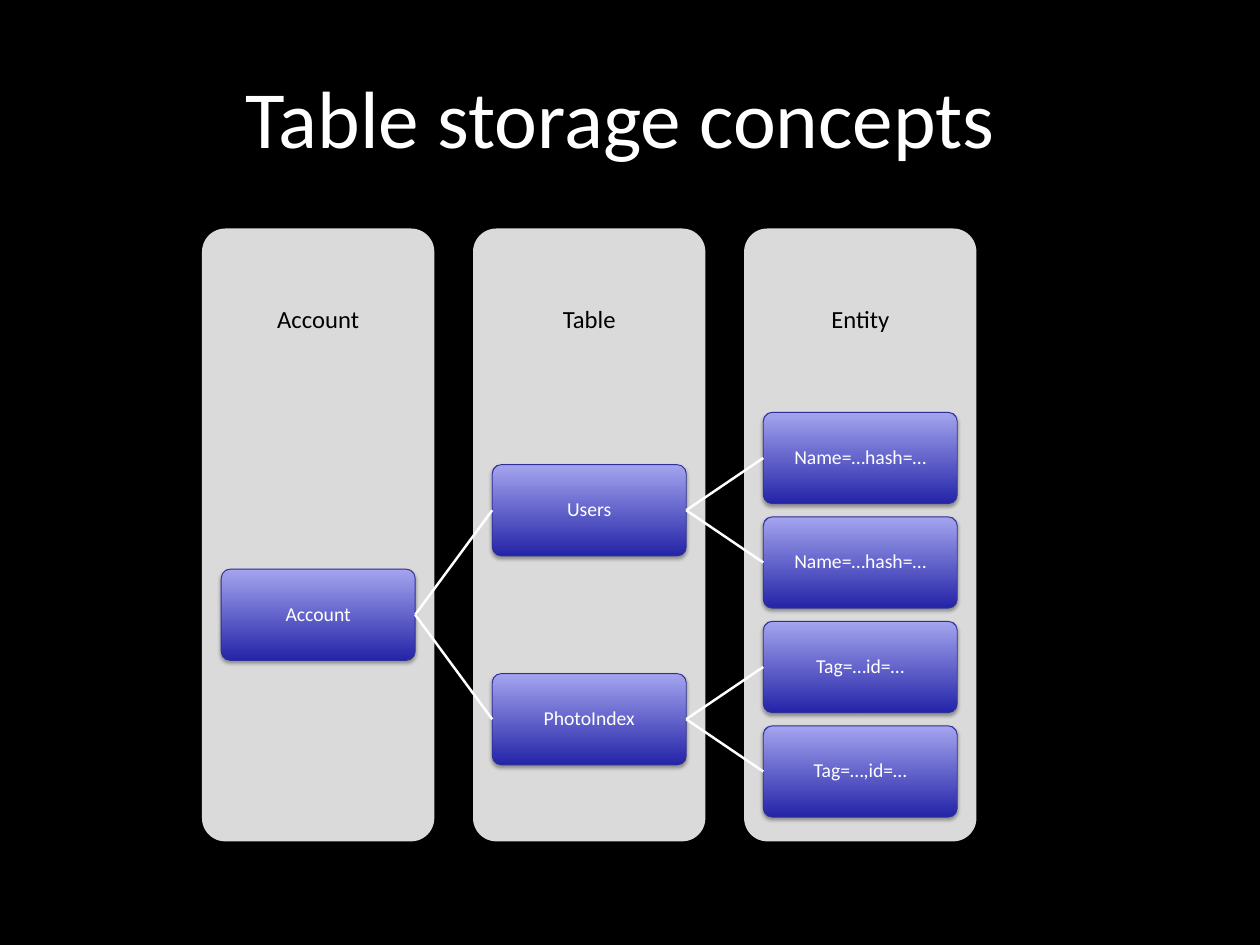
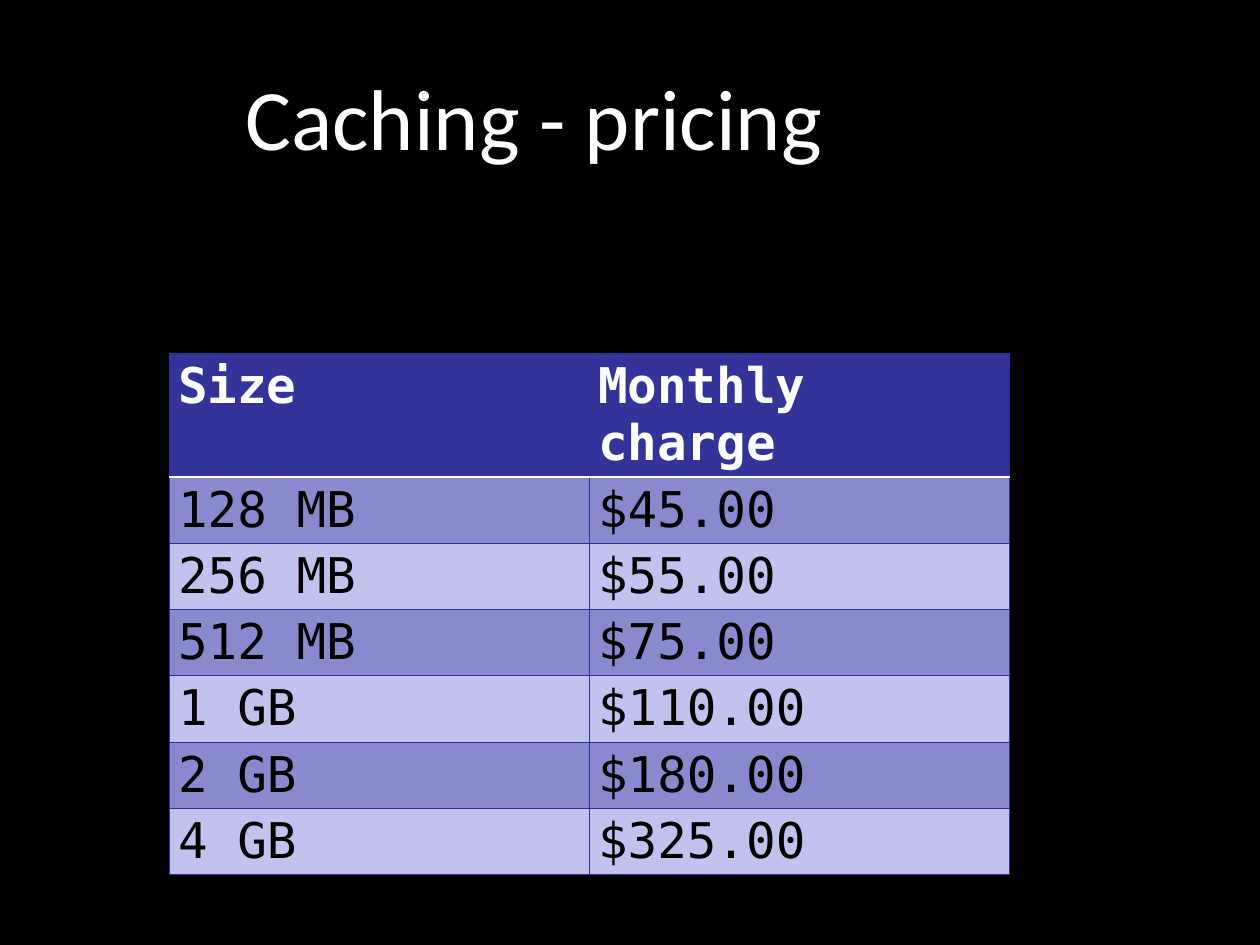
from collections import namedtuple
from lxml import etree
from pptx import Presentation
from pptx import util as u
from pptx.dml.color import RGBColor
from pptx.enum import shapes, text
from pptx.oxml import ns

Box = namedtuple("Box", "left top width height")

SLIDE = Box(0, 0, 14.22, 10.67)
TITLE = Box(2.71, 0.17, 10.33, 2.29)
DIAGRAM = Box(2.28, 2.58, 8.74, 6.92)
PRICES = Box(1.91, 3.99, 9.48, 5.83)

SANS, MONO = "Calibri", "DejaVu Sans Mono"
BLACK, WHITE, PANEL = "000000", "FFFFFF", "DADADA"
NODE_DARK, NODE_LIGHT, EDGE = "2424A8", "A4A4EF", "2F2F98"
HEADER, BANDS = "333399", ("8989CD", "C2C2EF")

COLUMN_NAMES = ("Account", "Table", "Entity")
TREE = ("Account", [
    ("Users", [("Name=…hash=…", []), ("Name=…hash=…", [])]),
    ("PhotoIndex", [("Tag=…id=…", []), ("Tag=…,id=…", [])]),
])
PRICE_ROWS = (
    ("Size", "Monthly charge"),
    ("128 MB", "$45.00"),
    ("256 MB", "$55.00"),
    ("512 MB", "$75.00"),
    ("1 GB", "$110.00"),
    ("2 GB", "$180.00"),
    ("4 GB", "$325.00"),
)


def color(value):
    return RGBColor.from_string(value)


def inches(box):
    return [u.Inches(length) for length in box]


def paint(fill, value):
    fill.solid()
    fill.fore_color.rgb = color(value)


def write(frame, words, size, value, font=SANS, align=text.PP_ALIGN.CENTER,
          inset=0.01, spacing=0.9, bold=False):
    frame.word_wrap = True
    frame.auto_size = text.MSO_AUTO_SIZE.NONE
    frame.vertical_anchor = text.MSO_ANCHOR.MIDDLE
    for side in ("left", "right", "top", "bottom"):
        setattr(frame, f"margin_{side}", u.Inches(inset))
    frame.text = words
    format_text(frame.paragraphs[0], size, value, font, align, spacing, bold)


def format_text(para, size, value, font, align, spacing=1.0, bold=False):
    para.alignment = align
    para.line_spacing = spacing
    for span in para.runs:
        span.font.name = font
        span.font.size = u.Pt(size)
        span.font.bold = bold
        span.font.color.rgb = color(value)


def add_titled_page(deck, words, size):
    page = deck.slides.add_slide(deck.slide_layouts[5])
    title = page.shapes.title
    title.left, title.top, title.width, title.height = inches(TITLE)
    write(title.text_frame, words, size, WHITE, align=text.PP_ALIGN.LEFT,
          inset=0.06, spacing=1.0)
    return page


def add_rounded(page, box):
    shape = page.shapes.add_shape(shapes.MSO_SHAPE.ROUNDED_RECTANGLE, *inches(box))
    shape.adjustments[0] = 0.1
    shape.shadow.inherit = False
    return shape


def add_column(page, box, name):
    panel = add_rounded(page, box)
    paint(panel.fill, PANEL)
    panel.line.fill.background()
    heading = page.shapes.add_textbox(*inches(box._replace(height=box.height * 0.3)))
    write(heading.text_frame, name, 20, BLACK, inset=0.16)


def add_soft_shadow(shape):
    effects = shape._element.spPr.find(ns.qn("a:effectLst"))
    shadow = etree.SubElement(effects, ns.qn("a:outerShdw"), blurRad=str(u.Pt(3.1)),
                              dist=str(u.Pt(1.8)), dir="5400000", rotWithShape="0")
    tint = etree.SubElement(shadow, ns.qn("a:srgbClr"), val=BLACK)
    etree.SubElement(tint, ns.qn("a:alpha"), val="35000")


def add_node(page, box, name):
    node = add_rounded(page, box)
    node.fill.gradient()
    node.fill.gradient_angle = 90
    for stop, value in zip(node.fill.gradient_stops, (NODE_DARK, NODE_LIGHT)):
        stop.color.rgb = color(value)
    node.line.color.rgb = color(EDGE)
    node.line.width = u.Pt(0.75)
    add_soft_shadow(node)
    write(node.text_frame, name, 16, WHITE)
    return node


def add_link(page, parent, child):
    link = page.shapes.add_connector(shapes.MSO_CONNECTOR.STRAIGHT, 0, 0, 0, 0)
    link.begin_connect(parent, 3)
    link.end_connect(child, 1)
    link.line.color.rgb = color(WHITE)
    link.line.width = u.Pt(2)
    etree.SubElement(link._element.spPr, ns.qn("a:effectLst"))


def add_hierarchy(page, box):
    column_width = box.width * 0.3
    pitch = (box.width - column_width) / (len(COLUMN_NAMES) - 1)
    node_width, node_height = column_width * 0.835, box.height * 0.149
    first_top, row_pitch = box.top + box.height * 0.3, box.height * 0.1705
    for index, name in enumerate(COLUMN_NAMES):
        add_column(page, Box(box.left + index * pitch, box.top, column_width, box.height), name)

    def place(branch, depth, next_row):
        name, children = branch
        placed = []
        for child in children:
            placed.append(place(child, depth + 1, next_row))
            next_row = placed[-1][2]
        row = sum(item[1] for item in placed) / len(placed) if placed else next_row
        left = box.left + depth * pitch + (column_width - node_width) / 2
        node = add_node(page, Box(left, first_top + row * row_pitch, node_width, node_height), name)
        for child_node, _, _ in placed:
            add_link(page, node, child_node)
        return node, row, next_row if children else next_row + 1

    place(TREE, 0, 0)


def add_borders(cell, **edges):
    properties = cell._tc.get_or_add_tcPr()
    for index, side in enumerate("LRTB"):
        value, width = edges.get(side, (EDGE, 0.75))
        line = etree.Element(ns.qn(f"a:ln{side}"), w=str(u.Pt(width)))
        fill = etree.SubElement(line, ns.qn("a:solidFill"))
        etree.SubElement(fill, ns.qn("a:srgbClr"), val=value)
        properties.insert(index, line)


def add_price_table(page, box):
    count, width = len(PRICE_ROWS), len(PRICE_ROWS[0])
    table = page.shapes.add_table(count, width, *inches(box)).table
    table.horz_banding = False
    header_height = box.height * 0.24
    row_height = (box.height - header_height) / (count - 1)
    rule = (WHITE, 2)
    for index, values in enumerate(PRICE_ROWS):
        is_header = index == 0
        table.rows[index].height = u.Inches(header_height if is_header else row_height)
        edges = {0: {"B": rule}, 1: {"T": rule}}.get(index, {})
        for column, words in enumerate(values):
            cell = table.cell(index, column)
            cell.text = words
            format_text(cell.text_frame.paragraphs[0], 40, WHITE if is_header else BLACK,
                        MONO, text.PP_ALIGN.LEFT, bold=is_header)
            paint(cell.fill, HEADER if is_header else BANDS[(index - 1) % 2])
            add_borders(cell, **edges)


def main():
    deck = Presentation()
    deck.slide_width, deck.slide_height = inches(SLIDE)[2:]
    paint(deck.slide_master.background.fill, BLACK)
    add_hierarchy(add_titled_page(deck, "Table storage concepts", 66), DIAGRAM)
    add_price_table(add_titled_page(deck, "Caching - pricing", 70), PRICES)
    deck.save("out.pptx")


if __name__ == "__main__":
    main()
